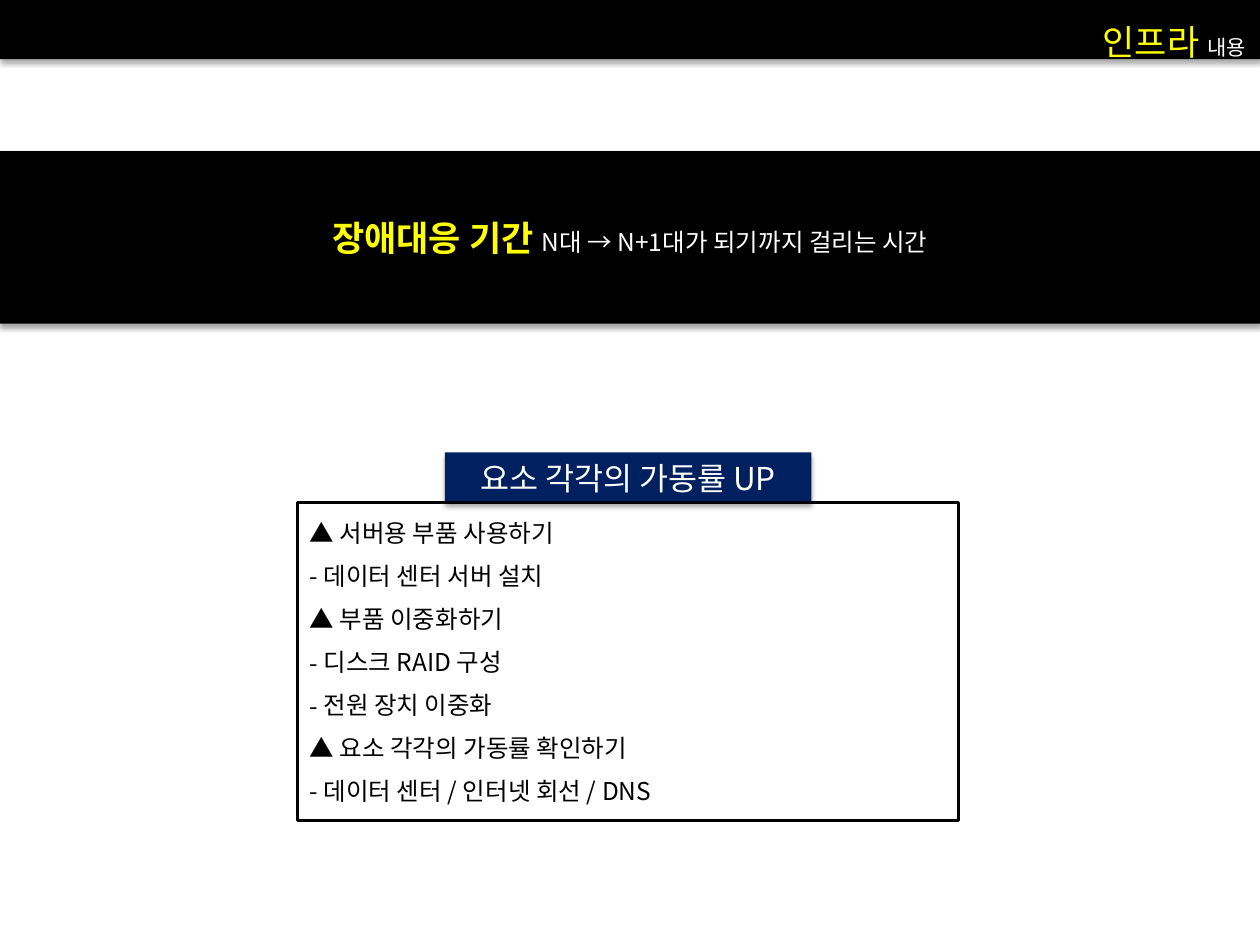
from lxml import etree
from pptx import Presentation
from pptx.dml.color import RGBColor
from pptx.enum.shapes import MSO_SHAPE
from pptx.enum.text import MSO_ANCHOR, PP_ALIGN
from pptx.oxml.ns import qn
from pptx.util import Emu, Inches, Pt

RECT = MSO_SHAPE.RECTANGLE
TOP, MIDDLE = MSO_ANCHOR.TOP, MSO_ANCHOR.MIDDLE
LEFT, CENTER = PP_ALIGN.LEFT, PP_ALIGN.CENTER
FONT = "Noto Sans CJK KR"
BLACK, WHITE, YELLOW, NAVY = "000000", "FFFFFF", "FFFF00", "002060"
LINE_SPACING = 1.3

prs = Presentation()
prs.slide_width, prs.slide_height = Inches(10), Inches(7.5)
slide = prs.slides.add_slide(prs.slide_layouts[6])


def add_text(paragraph, text, size, color=BLACK, bold=False):
    run = paragraph.add_run()
    run.text = text
    run.font.size, run.font.bold, run.font.name = Pt(size), bold, FONT
    run.font.color.rgb = RGBColor.from_string(color)
    run.font._element.set("kern", "0")
    etree.SubElement(run.font._element, qn("a:ea"), typeface=FONT)


def add_bar(left, top, width, height, fill=None):
    """A filled bar with a soft shadow below, or an outlined box without fill."""
    bar = slide.shapes.add_shape(
        RECT, Inches(left), Inches(top), Inches(width), Inches(height))
    bar.shadow.inherit = False
    bar.text_frame.word_wrap = True
    if fill is None:
        bar.fill.background()
        bar.line.color.rgb = RGBColor.from_string(BLACK)
        bar.line.width = Pt(1.5)
        return bar
    bar.fill.solid()
    bar.fill.fore_color.rgb = RGBColor.from_string(fill)
    bar.line.fill.background()
    bar.text_frame.vertical_anchor = MIDDLE
    effects = bar._element.spPr.find(qn("a:effectLst"))
    shadow = etree.SubElement(
        effects, qn("a:outerShdw"), blurRad=str(Pt(3.1)), dist=str(Pt(1.8)),
        dir="5400000", rotWithShape="0")
    shade = etree.SubElement(shadow, qn("a:srgbClr"), val=BLACK)
    etree.SubElement(shade, qn("a:alpha"), val="35000")
    return bar


# Header strip
add_bar(0, -0.01, 10, 0.48, BLACK)

# Definition band
definition = add_bar(0, 1.2, 10, 1.37, BLACK).text_frame.paragraphs[0]
definition.alignment = CENTER
add_text(definition, "장애대응 기간 ", 20, YELLOW, bold=True)
add_text(definition, "N대 → N+1대가 되기까지 걸리는 시간", 14, WHITE)

# Heading above the measures
heading = add_bar(3.53, 3.59, 2.91, 0.4, NAVY).text_frame.paragraphs[0]
heading.alignment = CENTER
add_text(heading, "요소 각각의 가동률 UP", 18, WHITE)

# Measures: (text, has a dash bullet)
measures = [
    ("▲ 서버용 부품 사용하기", False),
    ("- 데이터 센터 서버 설치", False),
    ("▲ 부품 이중화하기", False),
    ("디스크 RAID 구성", True),
    ("전원 장치 이중화", True),
    ("▲ 요소 각각의 가동률 확인하기", False),
    ("- 데이터 센터 / 인터넷 회선 / DNS", False),
]
measure_frame = add_bar(2.36, 3.99, 5.25, 2.52).text_frame
measure_frame.vertical_anchor = TOP
for index, (measure, dashed) in enumerate(measures):
    line = measure_frame.add_paragraph() if index else measure_frame.paragraphs[0]
    line.alignment, line.line_spacing, line.space_before = LEFT, LINE_SPACING, Pt(2.8)
    if dashed:
        indent = Inches(0.11)
        properties = line._p.get_or_add_pPr()
        properties.set("marL", str(indent))
        properties.set("indent", str(Emu(-indent)))
        etree.SubElement(properties, qn("a:buFont"), typeface=FONT)
        etree.SubElement(properties, qn("a:buChar"), char="-")
    add_text(line, measure, 14)

# Section title in the header
title_frame = slide.shapes.add_textbox(
    Inches(7.69), Inches(0.01), Inches(3.26), Inches(0.65)).text_frame
title_frame.word_wrap = True
title = title_frame.paragraphs[0]
title.alignment, title.line_spacing = CENTER, LINE_SPACING
add_text(title, "인프라 ", 20, YELLOW)
add_text(title, "내용", 12, WHITE)

prs.save("out.pptx")
